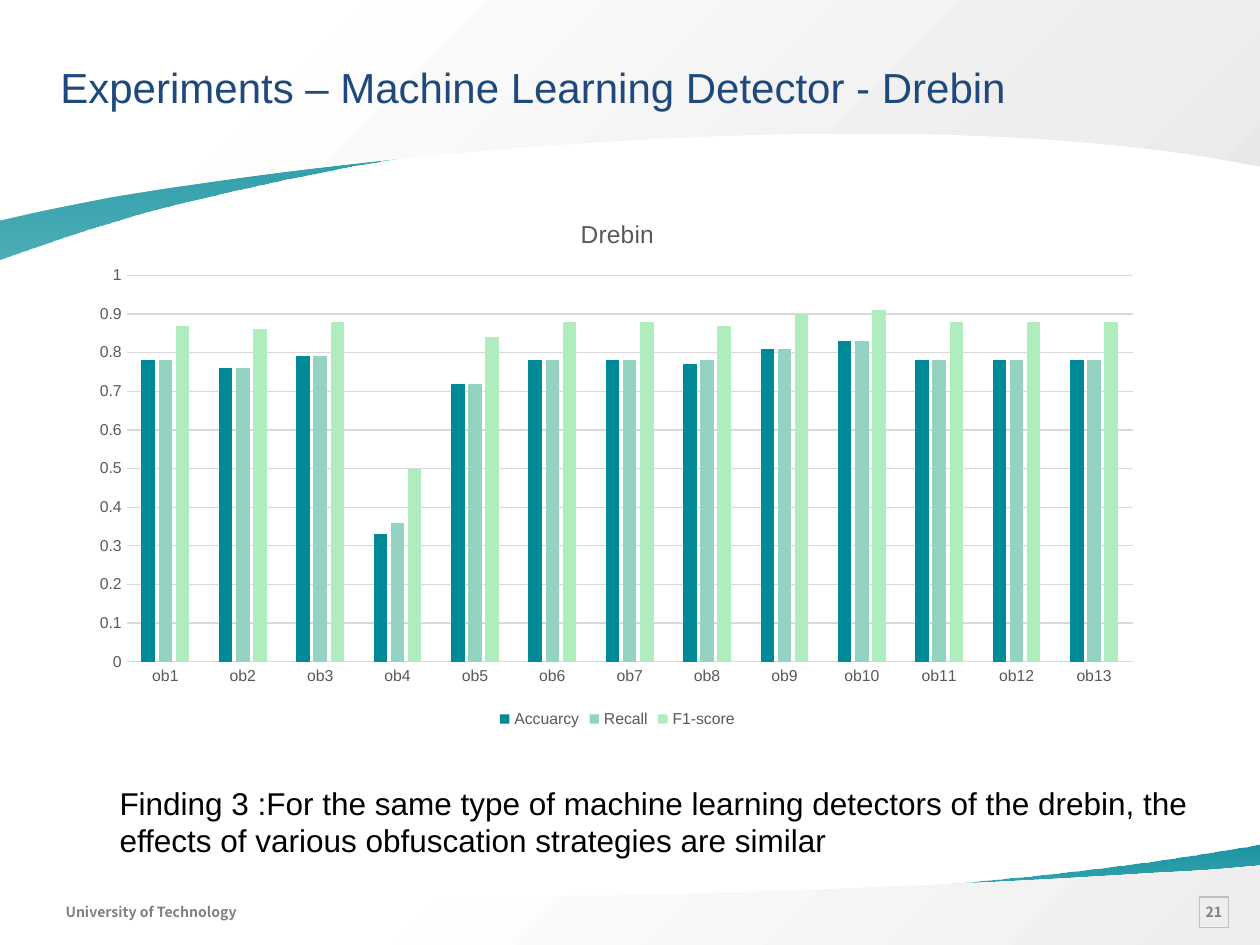
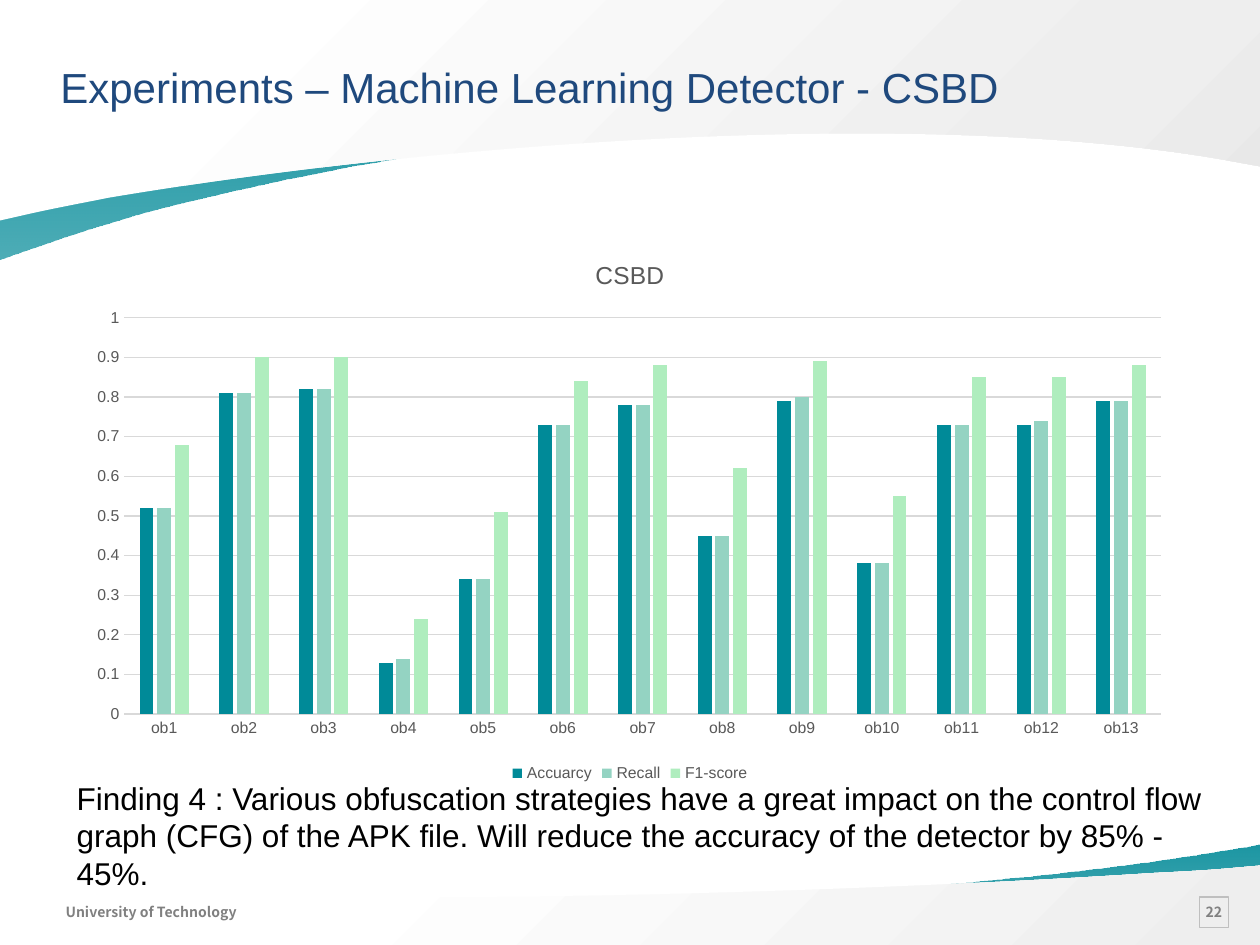
"""Two slides on machine learning detectors, each with a column chart and a finding."""
from lxml import etree
from pptx import Presentation
from pptx import util as u
from pptx.chart.data import CategoryChartData
from pptx.dml.color import RGBColor
from pptx.enum import chart as charts, shapes, text
from pptx.oxml.ns import qn

THEME = {
    "teal": "008A98",
    "series": ("008A98", "94D3C2", "AFEDBE"),
    "grid": "D9D9D9",
    "number_border": "BFBFBF",
    "hairline": 0.75,
    "title": {"name": "Arial", "size": 24, "color": "1F497D"},
    "finding": {"name": "Arial", "size": 18, "color": "000000"},
    "footer": {"name": "Noto Sans CJK SC", "size": 8, "color": "808080", "bold": True},
    "chart": {"name": "Arial", "size": 10, "color": "000000"},
    "chart_title": {"name": "Arial", "size": 14, "color": "595959", "bold": False},
    "chart_label": {"name": "Arial", "size": 9, "color": "595959"},
}

TITLE_START = "Experiments – Machine Learning Detector - "
FOOTER = "University of Technology"
CATEGORIES = [f"ob{number}" for number in range(1, 14)]
MEASURES = ("Accuarcy", "Recall", "F1-score")
PLOT_LAYOUT = {"x": 0.044, "y": 0.147, "w": 0.935, "h": 0.72}

SLIDES = [
    {
        "detector": "Drebin",
        "number": "21",
        "chart_box": (0.63, 1.56, 8.54, 4.26),
        "values": (
            (0.78, 0.76, 0.79, 0.33, 0.72, 0.78, 0.78, 0.77, 0.81, 0.83, 0.78, 0.78, 0.78),
            (0.78, 0.76, 0.79, 0.36, 0.72, 0.78, 0.78, 0.78, 0.81, 0.83, 0.78, 0.78, 0.78),
            (0.87, 0.86, 0.88, 0.5, 0.84, 0.88, 0.88, 0.87, 0.9, 0.91, 0.88, 0.88, 0.88),
        ),
        "finding_box": (0.85, 6.17, 8.88, 1.01),
        "finding": "Finding 3 :For the same type of machine learning detectors of the drebin, "
                   "the effects of various obfuscation strategies are similar",
    },
    {
        "detector": "CSBD",
        "number": "22",
        "chart_box": (0.6, 1.88, 8.8, 4.37),
        "values": (
            (0.52, 0.81, 0.82, 0.13, 0.34, 0.73, 0.78, 0.45, 0.79, 0.38, 0.73, 0.73, 0.79),
            (0.52, 0.81, 0.82, 0.14, 0.34, 0.73, 0.78, 0.45, 0.8, 0.38, 0.73, 0.74, 0.79),
            (0.68, 0.9, 0.9, 0.24, 0.51, 0.84, 0.88, 0.62, 0.89, 0.55, 0.85, 0.85, 0.88),
        ),
        "finding_box": (0.51, 6.13, 9.21, 1.31),
        "finding": "Finding 4 : Various obfuscation strategies have a great impact on the control "
                   "flow graph (CFG) of the APK file. Will reduce the accuracy of the detector "
                   "by 85% - 45%.",
    },
]

TEAL_FADE = {"angle": 90, "stops": [(0, THEME["teal"], 90), (100, THEME["teal"], 70)]}
BOTTOM_FADE = {"angle": 45, "stops": [(26, "FFFFFF", 100), (100, "EEEEEE", 100)]}
TOP_FADE = {"angle": 45, "stops": [(17, "FFFFFF", 100), (81, "EEEEEE", 100), (100, "E8E8E8", 100)]}
BANDS = [
    (TEAL_FADE, [(10, 6.7), (10, 7.35), (0, 7.35), (0, 7.08), (0.01, 7.08),
                 (2.26, 7.41, 6.15, 7.17, 8.39, 6.93),
                 (8.84, 6.88, 9.35, 6.81, 9.89, 6.72)]),
    (BOTTOM_FADE, [(10, 6.87), (10, 7.5), (0, 7.5), (0, 7.03), (0.33, 7.05),
                   (2.94, 7.21, 6.83, 7.08, 9.14, 6.93),
                   (9.34, 6.92, 9.56, 6.91, 9.78, 6.89)]),
    (TEAL_FADE, [(0, 2.06), (0, 0.66), (10, 0.66), (10, 1.24), (9.99, 1.23),
                 (7.74, 0.53, 3.85, 1.03, 1.61, 1.57),
                 (1.16, 1.67, 0.65, 1.83, 0.11, 2.02)]),
    (TOP_FADE, [(0, 1.75), (0, 0), (10, 0), (10, 1.32), (9.67, 1.26),
                (7.06, 0.82, 3.17, 1.18, 0.86, 1.57),
                (0.66, 1.61, 0.44, 1.65, 0.22, 1.7)]),
]


def inches(values):
    return [u.Inches(value) for value in values]


def set_attributes(target, values):
    for name, value in values.items():
        setattr(target, name, value)


def style_font(font, style):
    formats = dict(style, size=u.Pt(style["size"]))
    color = formats.pop("color")
    set_attributes(font, formats)
    font.color.rgb = RGBColor.from_string(color)


def style_line(line, color):
    line.color.rgb = RGBColor.from_string(color)
    line.width = u.Pt(THEME["hairline"])


def bend_segments(shape, segments):
    lines = list(shape._element.iter(qn("a:lnTo")))
    for line, segment in zip(lines, segments):
        if len(segment) == 2:
            continue
        line.tag = qn("a:cubicBezTo")
        for child in list(line):
            line.remove(child)
        values = inches(segment)
        for x, y in zip(values[::2], values[1::2]):
            etree.SubElement(line, qn("a:pt"), x=str(x - shape.left), y=str(y - shape.top))


def fill_gradient(shape, angle, stops):
    shape.fill.gradient()
    gradient = shape.fill._xPr.find(qn("a:gradFill"))
    for child in list(gradient):
        gradient.remove(child)
    stop_list = etree.SubElement(gradient, qn("a:gsLst"))
    for position, color, opacity in stops:
        stop = etree.SubElement(stop_list, qn("a:gs"), pos=str(position * 1000))
        color_element = etree.SubElement(stop, qn("a:srgbClr"), val=color)
        if opacity < 100:
            etree.SubElement(color_element, qn("a:alpha"), val=str(opacity * 1000))
    etree.SubElement(gradient, qn("a:lin"), ang=str(angle * 60000), scaled="0")


def add_band(slide, gradient, outline):
    corners = [inches(segment[-2:]) for segment in outline]
    builder = slide.shapes.build_freeform(*corners[0])
    builder.add_line_segments(corners[1:], close=True)
    shape = builder.convert_to_shape()
    bend_segments(shape, outline[1:])
    shape.shadow.inherit = False
    shape.line.fill.background()
    fill_gradient(shape, **gradient)


def write(shape, words, style, margins=(0.1, 0.05, 0.1, 0.05), **frame_formats):
    frame = shape.text_frame
    sides = ("margin_left", "margin_top", "margin_right", "margin_bottom")
    set_attributes(frame, {"word_wrap": True, **frame_formats, **dict(zip(sides, inches(margins)))})
    paragraph = frame.paragraphs[0]
    run = paragraph.add_run()
    run.text = words
    style_font(run.font, style)
    return paragraph


def add_text(slide, box, words, style, **formats):
    return write(slide.shapes.add_textbox(*inches(box)), words, style, **formats)


def add_footer(slide, number):
    number_box = slide.shapes.add_shape(shapes.MSO_SHAPE.RECTANGLE, *inches((9.52, 7.12, 0.23, 0.24)))
    number_box.shadow.inherit = False
    number_box.fill.background()
    style_line(number_box.line, THEME["number_border"])
    paragraph = write(number_box, number, THEME["footer"], margins=(0.08,) * 4, word_wrap=False,
                      vertical_anchor=text.MSO_ANCHOR.MIDDLE)
    paragraph.alignment = text.PP_ALIGN.CENTER
    add_text(slide, (0.52, 7.12, 1.89, 0.23), FOOTER, THEME["footer"],
             margins=(0, 0.05, 0.1, 0.05), word_wrap=False)


def place_plot(chart):
    plot_area = chart._chartSpace.find(".//" + qn("c:plotArea"))
    layout = plot_area.find(qn("c:layout"))
    if layout is None:
        layout = etree.Element(qn("c:layout"))
        plot_area.insert(0, layout)
    manual = etree.SubElement(layout, qn("c:manualLayout"))
    settings = {"layoutTarget": "inner", "xMode": "edge", "yMode": "edge", **PLOT_LAYOUT}
    for name, value in settings.items():
        etree.SubElement(manual, qn("c:" + name), val=str(value))


def add_scores(slide, box, detector, values):
    data = CategoryChartData()
    data.categories = CATEGORIES
    for measure, scores in zip(MEASURES, values):
        data.add_series(measure, scores)
    chart = slide.shapes.add_chart(charts.XL_CHART_TYPE.COLUMN_CLUSTERED, *inches(box), data).chart
    style_font(chart.font, THEME["chart"])
    chart.has_title = True
    title_run = chart.chart_title.text_frame.paragraphs[0].add_run()
    title_run.text = detector
    style_font(title_run.font, THEME["chart_title"])
    chart.chart_title.include_in_layout = False

    plot = chart.plots[0]
    set_attributes(plot, {"gap_width": 219, "overlap": -27, "vary_by_categories": False})
    for series, color in zip(plot.series, THEME["series"]):
        series.format.fill.solid()
        series.format.fill.fore_color.rgb = RGBColor.from_string(color)
        series.invert_if_negative = False

    for axis in (chart.category_axis, chart.value_axis):
        set_attributes(axis, {"major_tick_mark": charts.XL_TICK_MARK.NONE,
                              "minor_tick_mark": charts.XL_TICK_MARK.NONE})
        style_font(axis.tick_labels.font, THEME["chart_label"])
    style_line(chart.category_axis.format.line, THEME["grid"])
    set_attributes(chart.value_axis, {"minimum_scale": 0, "maximum_scale": 1, "major_unit": 0.1,
                                      "has_major_gridlines": True})
    chart.value_axis.format.line.fill.background()
    style_line(chart.value_axis.major_gridlines.format.line, THEME["grid"])

    chart.has_legend = True
    set_attributes(chart.legend, {"position": charts.XL_LEGEND_POSITION.BOTTOM,
                                  "include_in_layout": False})
    style_font(chart.legend.font, THEME["chart_label"])
    place_plot(chart)


def main():
    presentation = Presentation()
    set_attributes(presentation, {"slide_width": u.Inches(10), "slide_height": u.Inches(7.5)})
    for content in SLIDES:
        slide = presentation.slides.add_slide(presentation.slide_layouts[6])
        for gradient, outline in BANDS:
            add_band(slide, gradient, outline)
        add_footer(slide, content["number"])
        add_text(slide, (0.4, 0.41, 9, 0.58), TITLE_START + content["detector"], THEME["title"],
                 margins=(0.08, 0.08, 0, 0.08))
        add_scores(slide, content["chart_box"], content["detector"], content["values"])
        add_text(slide, content["finding_box"], content["finding"], THEME["finding"],
                 auto_size=text.MSO_AUTO_SIZE.SHAPE_TO_FIT_TEXT)
    presentation.save("out.pptx")


if __name__ == "__main__":
    main()
